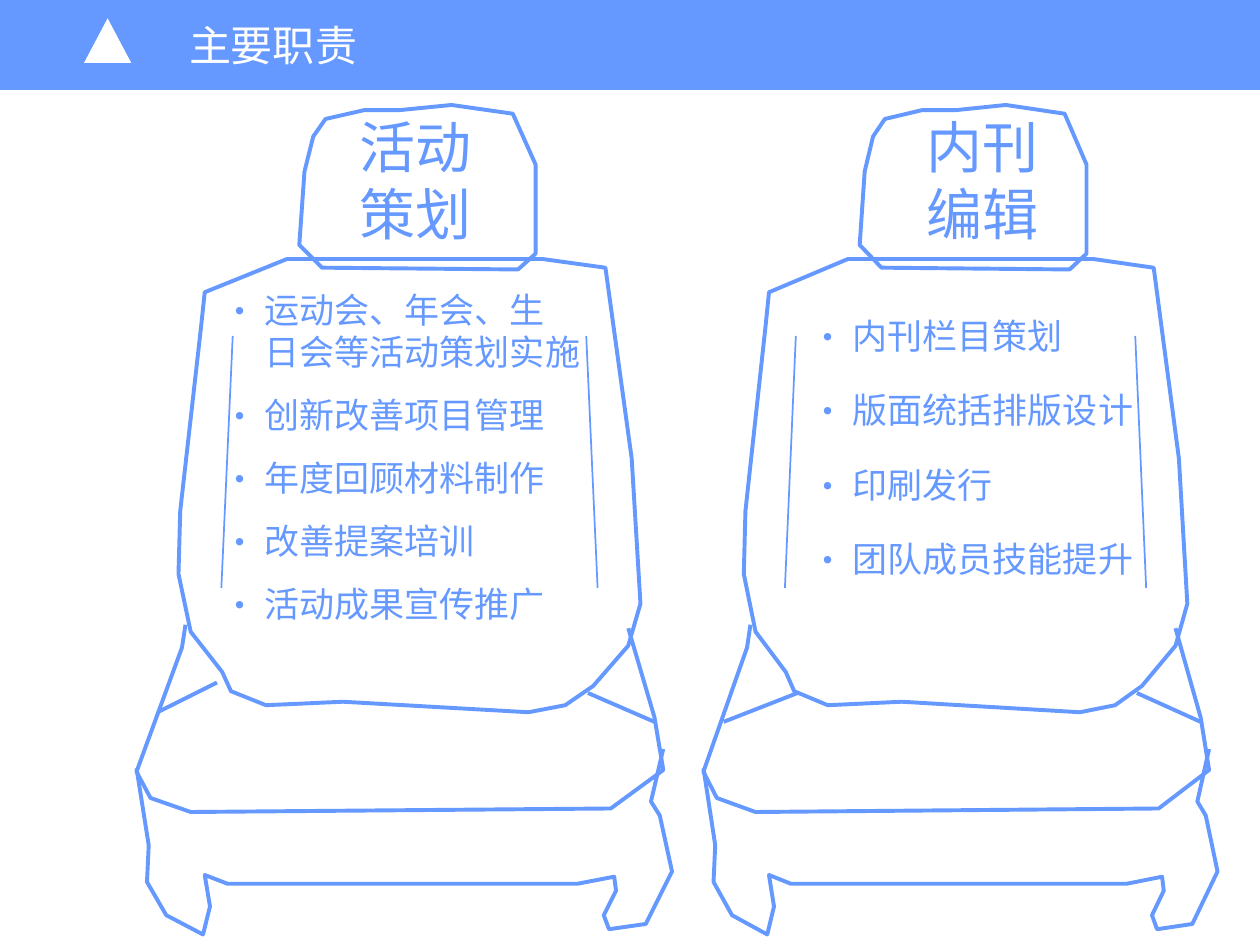
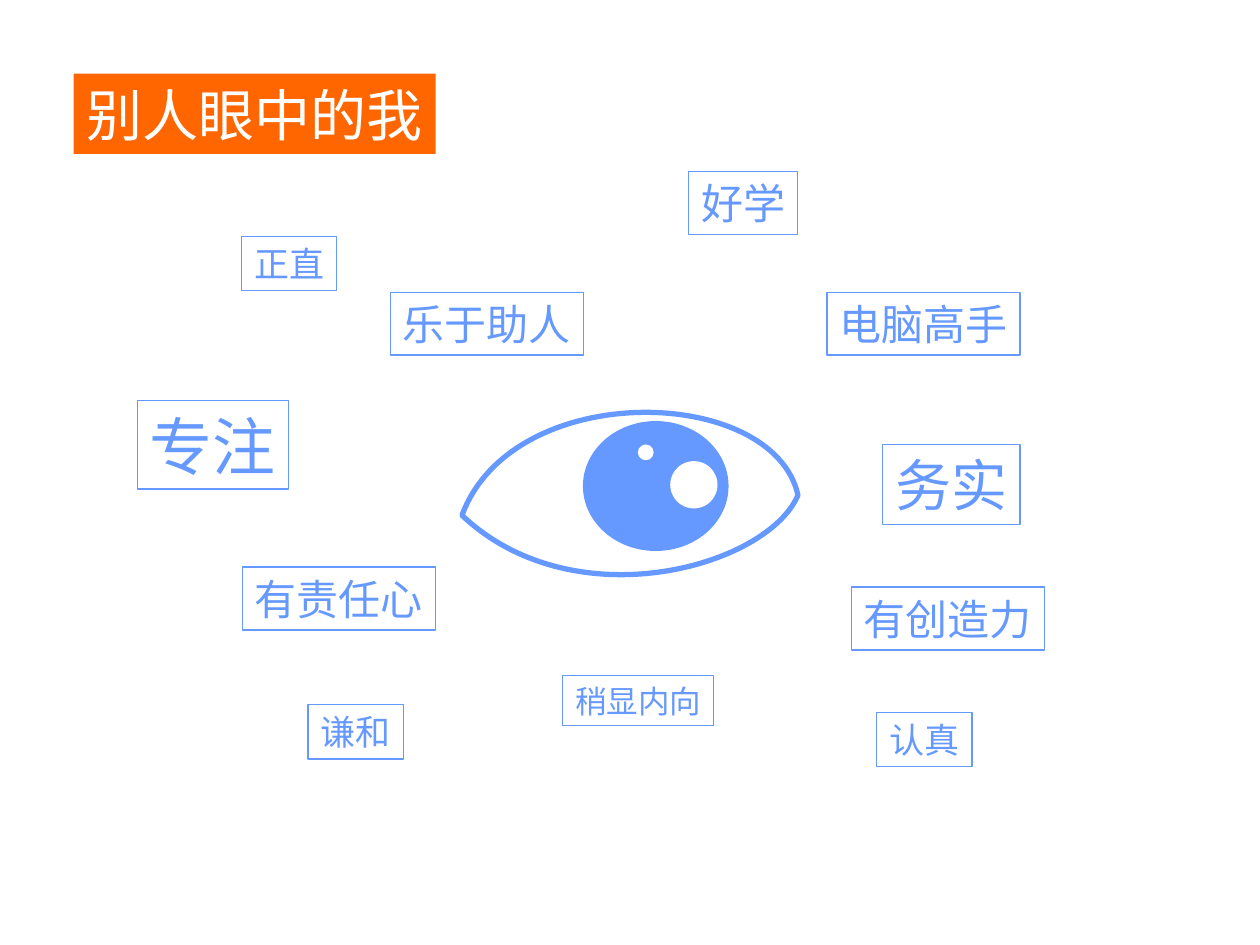
"""Builds two slides: main duties drawn as car seats, and how others see me."""
from dataclasses import dataclass

from lxml.etree import SubElement
from pptx import Presentation
from pptx.dml.color import RGBColor as RGB
from pptx.enum.shapes import MSO_CONNECTOR as Connector, MSO_SHAPE as Shape
from pptx.enum.text import MSO_ANCHOR as Anchor, MSO_AUTO_SIZE as AutoSize, PP_ALIGN as Align
from pptx.oxml.ns import qn
from pptx.util import Pt


@dataclass(frozen=True)
class Theme:
    blue: RGB = RGB(0x66, 0x99, 0xFF)
    orange: RGB = RGB(0xFF, 0x66, 0x00)
    white: RGB = RGB(0xFF, 0xFF, 0xFF)
    latin: str = "Arial"
    chinese: str = "Noto Sans CJK SC"
    heading: int = 32
    band_title: int = 24
    item: int = 20
    line_pitch: float = 1.2
    side_margin: float = 7.2
    edge_margin: float = 3.6
    thin: float = 0.75
    seam: float = 1
    seat: float = 2.25
    eye: float = 3


theme = Theme()


def paint(shape, fill=None, line=None, weight=theme.thin):
    if fill is None:
        shape.fill.background()
    else:
        shape.fill.solid()
        shape.fill.fore_color.rgb = fill
    if line is None:
        shape.line.fill.background()
    else:
        shape.line.color.rgb = line
        shape.line.width = Pt(weight)
    shape.shadow.inherit = False


def write(shape, box, text, size, color, latin=theme.chinese, align=Align.LEFT,
          anchor=Anchor.MIDDLE, wrap=True):
    shape.left, shape.top, shape.width, shape.height = [Pt(length) for length in box]
    frame = shape.text_frame
    frame.text = text
    frame.auto_size = AutoSize.NONE
    frame.word_wrap = wrap
    frame.vertical_anchor = anchor
    frame.margin_left = frame.margin_right = Pt(theme.side_margin)
    frame.margin_top = frame.margin_bottom = Pt(theme.edge_margin)
    for paragraph in frame.paragraphs:
        paragraph.alignment = align
        paragraph.space_before = Pt(0)
        for run in paragraph.runs:
            run.font.size = Pt(size)
            run.font.bold = False
            run.font.color.rgb = color
            run.font.name = latin
            SubElement(run.font._element, qn("a:ea"), typeface=theme.chinese)
    return frame


deck = Presentation()
deck.slide_width, deck.slide_height = Pt(720), Pt(540)

duties = deck.slides.add_slide(deck.slide_layouts.get_by_name("Comparison"))
band = duties.shapes.title
paint(band, fill=theme.blue)
write(band, (0, 0, 720, 51.4), "主要职责", theme.band_title, theme.white,
      theme.latin).margin_left = Pt(108)
marker = duties.shapes.add_shape(Shape.ISOSCELES_TRIANGLE, Pt(48), Pt(10.5), Pt(27), Pt(25.5))
paint(marker, fill=theme.white)

head_crown = [(-48, 68), (-26, 63), (-6, 63), (24, 60), (59, 65)]
head_right = [(72, 94), (72, 145), (62, 154)]
head_left = [(-50, 153), (-63, 140), (-60, 98), (-55, 78)]

back_shoulders = [(-119, 186), (-117, 167), (-70, 148), (76, 148), (112, 153)]
back_right = [(127, 262), (132, 345), (125, 369)]
back_hem = [(105, 392), (89, 403), (68, 407), (-38, 401), (-82, 403), (-102, 395)]
back_left = [(-107, 384), (-125, 361), (-132, 328), (-131, 292)]

cushion_left = [(-128, 357), (-130, 370), (-156, 441)]
cushion_front = [(-148, 456), (-125, 464), (115, 462), (145, 440)]
cushion_right = [(140, 410), (125, 359)]

left_foot = [(-156, 439), (-149, 483), (-150, 504), (-139, 523), (-118, 534),
             (-114, 518), (-117, 500)]
floor_rail = [(-104, 505), (96, 505)]
right_foot = [(117, 501), (118, 509), (111, 523), (114, 531), (135, 528),
              (150, 498), (143, 466), (138, 458), (145, 428)]

seat_parts = [
    (head_crown + head_right + head_left, True),
    (back_shoulders + back_right + back_hem + back_left, True),
    (cushion_left + cushion_front + cushion_right, False),
    (left_foot + floor_rail + right_foot, False),
]
seams = [((side * 101, 192), (side * 107.5, 336)) for side in (-1, 1)]
right_armrest = ((102, 396), (140, 412.5))

seats = [
    dict(center=234, stretch=1, left_armrest=((-144, 407), (-110, 390)),
         heading="活动\n策划", heading_left=198,
         items=["运动会、年会、生\v日会等活动策划实施", "创新改善项目管理", "年度回顾材料制作",
                "改善提案培训", "活动成果宣传推广"],
         list_box=(120, 161, 228, 196), gap=12),
    dict(center=551.75, stretch=0.96, left_armrest=((-144, 412.5), (-100, 396)),
         heading="内刊\n编辑", heading_left=522,
         items=["内刊栏目策划", "版面统括排版设计", "印刷发行", "团队成员技能提升"],
         list_box=(456, 176, 215, 165), gap=18.5),
]

for number, seat in enumerate(seats):
    heading = duties.placeholders[1 + 2 * number]
    frame = write(heading, (seat["heading_left"], 60.5, 90, 84), seat["heading"],
                  theme.heading, theme.blue, anchor=Anchor.TOP)
    for paragraph in frame.paragraphs:
        paragraph.line_spacing = Pt(theme.heading * theme.line_pitch)

    tasks = duties.placeholders[2 + 2 * number]
    frame = write(tasks, seat["list_box"], "\n".join(seat["items"]), theme.item,
                  theme.blue, theme.latin, anchor=Anchor.TOP)
    for position, paragraph in enumerate(frame.paragraphs):
        paragraph.line_spacing = Pt(theme.item * theme.line_pitch)
        paragraph.space_before = Pt(seat["gap"] if position else 0)
        properties = paragraph._p.get_or_add_pPr()
        properties.set("marL", str(Pt(24)))
        properties.set("indent", str(-Pt(24)))
        SubElement(properties, qn("a:buFont"), typeface=theme.chinese)
        SubElement(properties, qn("a:buChar"), char="·")

    drawing = duties.shapes.add_group_shape().shapes
    for corners, closed in seat_parts:
        start, *others = [(Pt(seat["center"] + offset * seat["stretch"]), Pt(y))
                          for offset, y in corners]
        builder = drawing.build_freeform(*start)
        builder.add_line_segments(others, close=closed)
        paint(builder.convert_to_shape(), line=theme.blue, weight=theme.seat)

    armrests = [seat["left_armrest"], right_armrest]
    for strokes, weight in [(seams, theme.seam), (armrests, theme.seat)]:
        for ends in strokes:
            (x1, y1), (x2, y2) = [(Pt(seat["center"] + offset * seat["stretch"]), Pt(y))
                                  for offset, y in ends]
            stroke = drawing.add_connector(Connector.STRAIGHT, x1, y1, x2, y2)
            stroke.line.color.rgb = theme.blue
            stroke.line.width = Pt(weight)
            SubElement(stroke._element.spPr, qn("a:effectLst"))

views = deck.slides.add_slide(deck.slide_layouts.get_by_name("Title Only"))
banner = views.shapes.title
paint(banner, fill=theme.orange)
write(banner, (42, 42, 207, 46), "别人眼中的我", theme.heading, theme.white, wrap=False)

traits_by_size = {
    36: [("专注", 78.5, 229)],
    32: [("务实", 504.5, 254)],
    24: [("好学", 393.5, 98), ("乐于助人", 223, 167), ("电脑高手", 472.5, 167),
         ("有责任心", 138.5, 324), ("有创造力", 486.5, 335.5)],
    20: [("正直", 138, 135), ("谦和", 176, 402.5), ("认真", 501, 407)],
    18: [("稍显内向", 321.5, 386)],
}
for size, traits in traits_by_size.items():
    height = size * theme.line_pitch + 2 * theme.edge_margin
    for trait, left, top in traits:
        width = size * len(trait) + 2 * theme.side_margin
        box = (left, top, width, height)
        tag = views.shapes.add_shape(Shape.RECTANGLE, *[Pt(length) for length in box])
        paint(tag, line=theme.blue)
        write(tag, box, trait, size, theme.blue, align=Align.CENTER, wrap=False)

eye = views.shapes.add_group_shape().shapes
outer_corner, inner_corner = (264, 294.5), (456, 283)
lower_lid = [(328, 355), (438.5, 324), inner_corner]
upper_lid = [(442, 220), (293, 216), outer_corner]
builder = eye.build_freeform(*[Pt(length) for length in outer_corner])
builder.add_line_segments([(Pt(x), Pt(y)) for x, y in lower_lid + upper_lid], close=True)
lids = builder.convert_to_shape()
segments = list(lids._element.iter(qn("a:lnTo")))
for first in range(0, len(segments), 3):
    curve, *rest = segments[first:first + 3]
    curve.tag = qn("a:cubicBezTo")
    for segment in rest:
        curve.append(segment[0])
        segment.getparent().remove(segment)
paint(lids, line=theme.blue, weight=theme.eye)

iris = (333.5, 241, 82.5, 73.5, theme.blue, theme.blue)
large_glint = (383, 263.5, 27, 27, theme.white, None)
small_glint = (364.5, 254, 9, 9, theme.white, None)
for *box, fill, line in (iris, large_glint, small_glint):
    disc = eye.add_shape(Shape.OVAL, *[Pt(length) for length in box])
    paint(disc, fill=fill, line=line)

deck.save("out.pptx")
